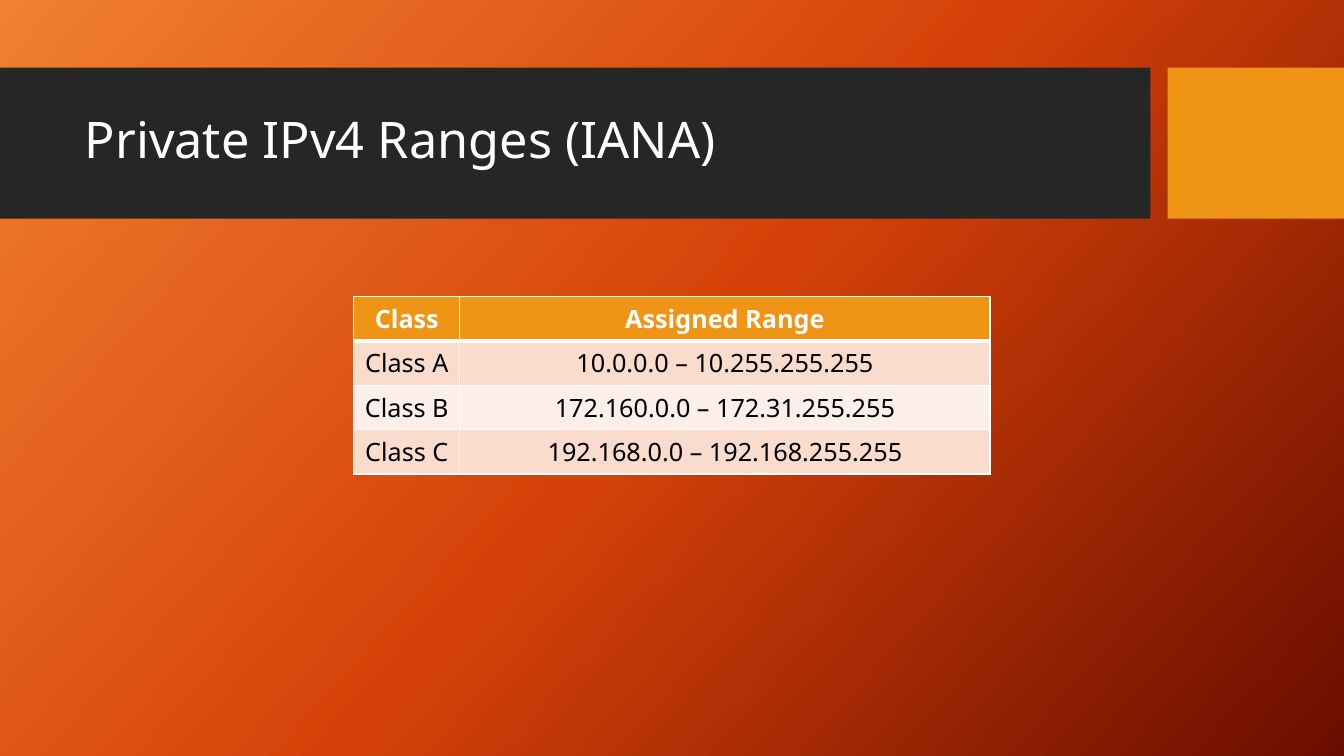
"""Build a slide listing the private IPv4 ranges in a table."""
from copy import deepcopy
from dataclasses import dataclass

from lxml import etree
from pptx import Presentation
from pptx import util as u
from pptx.dml.color import RGBColor
from pptx.enum import shapes, text
from pptx.oxml.ns import qn

TITLE = "Private IPv4 Ranges (IANA)"
ROWS = [
    ("Class", "Assigned Range"),
    ("Class A", "10.0.0.0 – 10.255.255.255"),
    ("Class B", "172.160.0.0 – 172.31.255.255"),
    ("Class C", "192.168.0.0 – 192.168.255.255"),
]
SLIDE_SIZE = (13.33, 7.5)
BAND_TOP, BAND_HEIGHT = 0.67, 1.5
BAND_WIDTH, ACCENT_WIDTH = 11.41, 1.75
TITLE_BOX = (0.74, 0.82, 10.51, 1.18)
COLUMN_WIDTHS = (1.05, 5.26)
TABLE_TOP, ROW_HEIGHT = 2.94, 0.41


@dataclass(frozen=True)
class Theme:
    font: str = "Noto Sans"
    title_size: int = 36
    table_size: int = 18
    gradient: tuple = ("F18031", "D54209", "6A0D00")
    gradient_angle: int = 42
    band: str = "262626"
    accent: str = "F09415"
    stripes: tuple = ("FCEEE8", "F9DCCC")
    light: str = "FFFFFF"
    dark: str = "000000"
    thin_border: int = 1
    header_border: int = 3


THEME = Theme()


def rgb(value):
    return RGBColor.from_string(value)


def inches(values):
    return [u.Inches(value) for value in values]


def style_font(font, size, color, bold=False):
    font.name, font.size, font.bold = THEME.font, u.Pt(size), bold
    font.color.rgb = rgb(color)


def paint_background(slide):
    fill = slide.background.fill
    fill.gradient()
    fill.gradient_angle = 360 - THEME.gradient_angle
    stop_list = slide.element.find(".//" + qn("a:gsLst"))
    stop_list.insert(1, deepcopy(stop_list[0]))
    last = len(THEME.gradient) - 1
    for index, (stop, color) in enumerate(zip(fill.gradient_stops, THEME.gradient)):
        stop.position = index / last
        stop.color.rgb = rgb(color)


def add_panel(slide, left, width, color):
    box = inches((left, BAND_TOP, width, BAND_HEIGHT))
    shape = slide.shapes.add_shape(shapes.MSO_SHAPE.RECTANGLE, *box)
    shape.shadow.inherit = False
    shape.fill.solid()
    shape.fill.fore_color.rgb = rgb(color)
    shape.line.fill.background()


def place_title(slide):
    title = slide.shapes.title
    slide.shapes.element.append(title.element)
    title.left, title.top, title.width, title.height = inches(TITLE_BOX)
    frame = title.text_frame
    frame.text = TITLE
    frame.auto_size = text.MSO_AUTO_SIZE.NONE
    frame.vertical_anchor = text.MSO_ANCHOR.MIDDLE
    paragraph = frame.paragraphs[0]
    paragraph.alignment = text.PP_ALIGN.LEFT
    paragraph.line_spacing = 0.9
    style_font(paragraph.font, THEME.title_size, THEME.light)


def set_borders(cell, top, bottom):
    properties = cell._tc.get_or_add_tcPr()
    sides = {"L": THEME.thin_border, "R": THEME.thin_border, "T": top, "B": bottom}
    for index, (side, width) in enumerate(sides.items()):
        line = etree.Element(qn(f"a:ln{side}"), w=str(u.Pt(width)))
        fill = etree.SubElement(line, qn("a:solidFill"))
        etree.SubElement(fill, qn("a:srgbClr"), val=THEME.light)
        properties.insert(index, line)


def add_range_table(slide):
    width = sum(COLUMN_WIDTHS)
    box = inches(((SLIDE_SIZE[0] - width) / 2, TABLE_TOP, width, ROW_HEIGHT * len(ROWS)))
    table = slide.shapes.add_table(len(ROWS), len(COLUMN_WIDTHS), *box).table
    for column, column_width in zip(table.columns, COLUMN_WIDTHS):
        column.width = u.Inches(column_width)
    for row, values in enumerate(ROWS):
        header = row == 0
        table.rows[row].height = u.Inches(ROW_HEIGHT)
        for column, value in enumerate(values):
            cell = table.cell(row, column)
            cell.text = value
            cell.fill.solid()
            cell.fill.fore_color.rgb = rgb(THEME.accent if header else THEME.stripes[row % 2])
            paragraph = cell.text_frame.paragraphs[0]
            paragraph.alignment = text.PP_ALIGN.CENTER
            style_font(paragraph.font, THEME.table_size, THEME.light if header else THEME.dark, header)
            set_borders(
                cell,
                top=THEME.header_border if row == 1 else THEME.thin_border,
                bottom=THEME.header_border if header else THEME.thin_border,
            )


def main():
    presentation = Presentation()
    presentation.slide_width, presentation.slide_height = inches(SLIDE_SIZE)
    title_only = presentation.slide_layouts.get_by_name("Title Only")
    slide = presentation.slides.add_slide(title_only)
    paint_background(slide)
    add_panel(slide, 0, BAND_WIDTH, THEME.band)
    add_panel(slide, SLIDE_SIZE[0] - ACCENT_WIDTH, ACCENT_WIDTH, THEME.accent)
    place_title(slide)
    add_range_table(slide)
    presentation.save("out.pptx")


if __name__ == "__main__":
    main()
